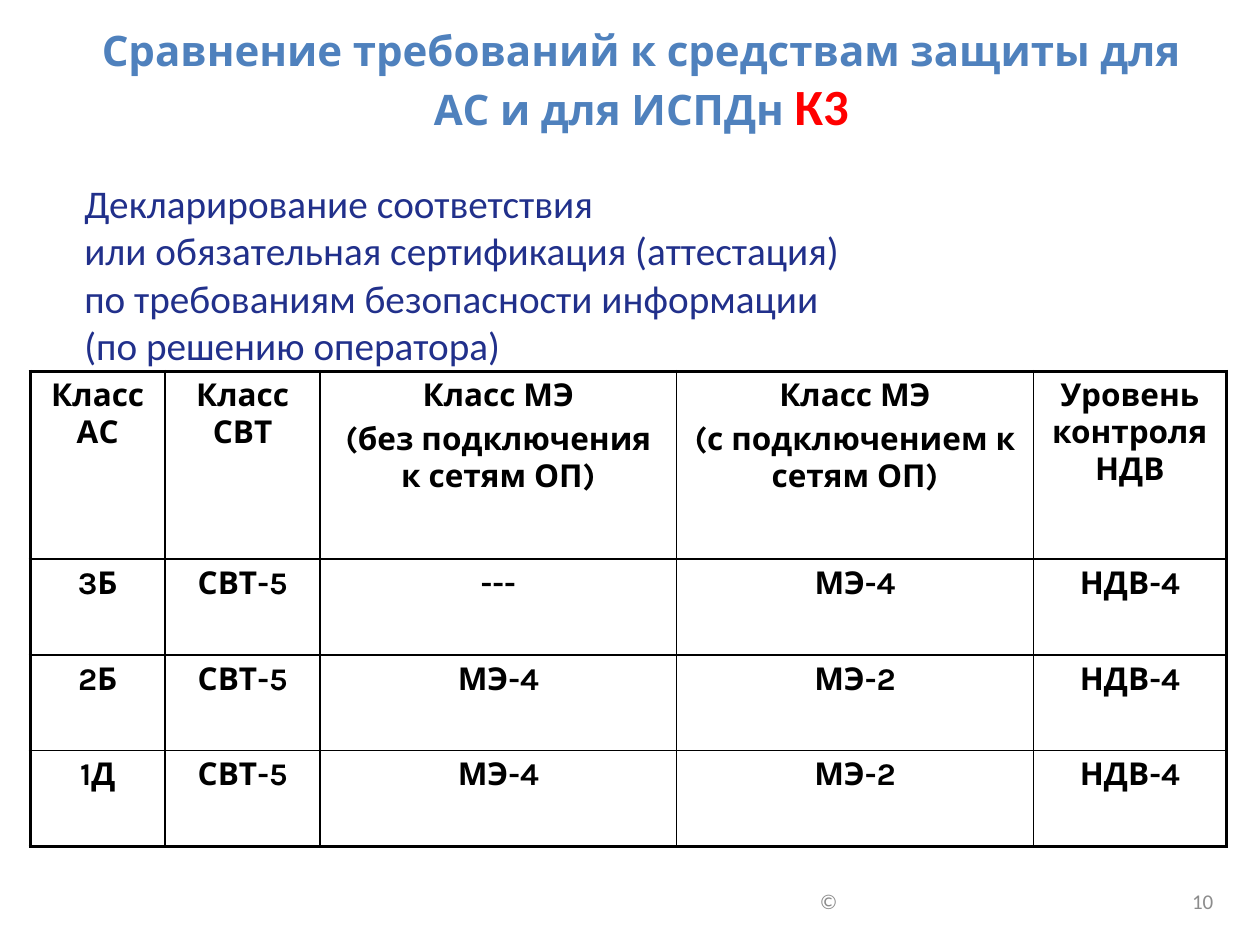
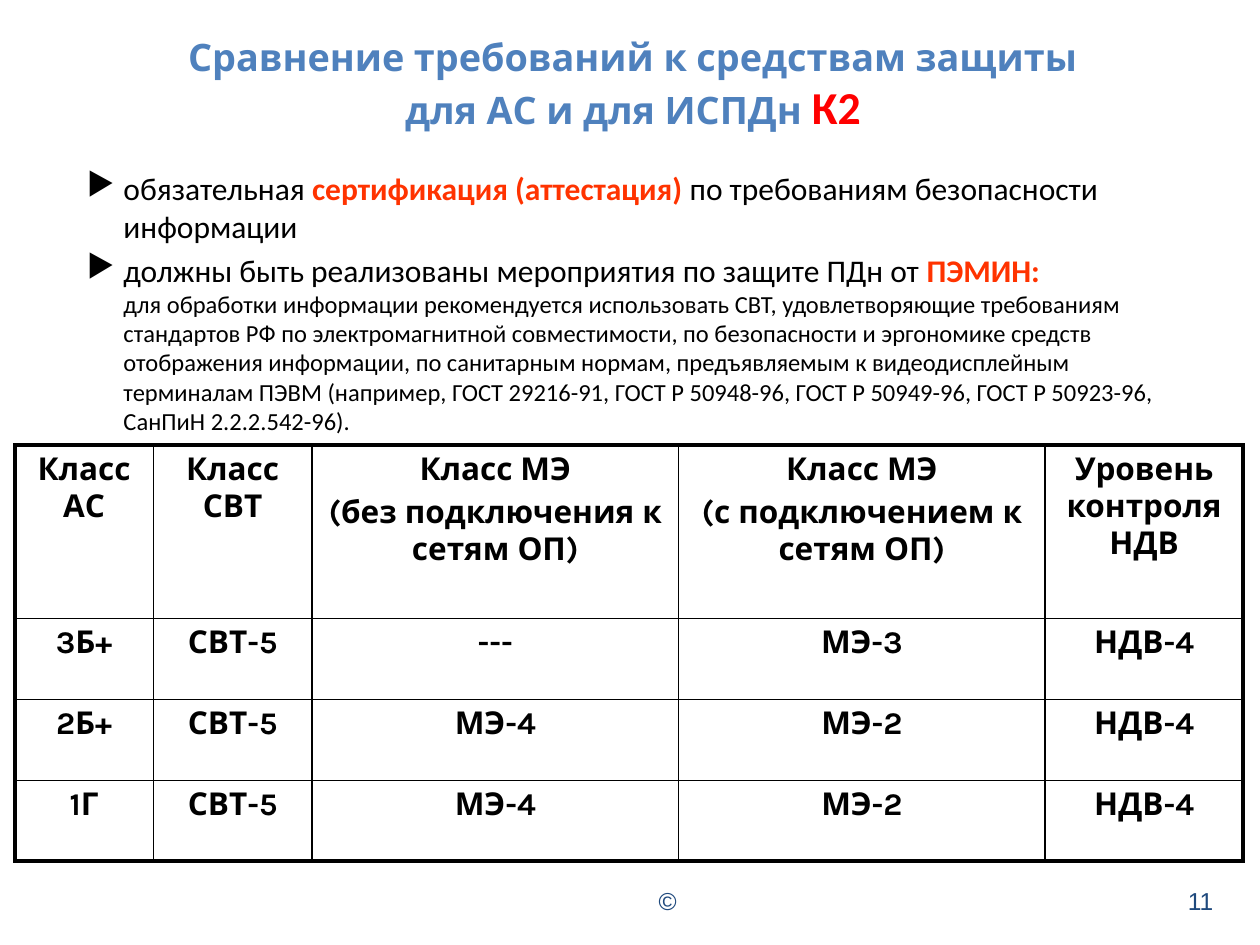
from copy import deepcopy

from lxml import etree
from pptx import Presentation
from pptx.dml.color import RGBColor
from pptx.enum.text import MSO_ANCHOR, MSO_AUTO_SIZE, PP_ALIGN
from pptx.oxml.ns import qn
from pptx.util import Cm, Pt

CENTER, LEFT = PP_ALIGN.CENTER, PP_ALIGN.LEFT
MIDDLE, TOP = MSO_ANCHOR.MIDDLE, MSO_ANCHOR.TOP
NO_FIT = MSO_AUTO_SIZE.NONE

BLUE, RED, NAVY, ORANGE = "4F81BD", "FF0000", "21308B", "FF3300"
BLACK, GREY, DARK_BLUE = "000000", "8C8C8C", "1F497D"
OUTER, INNER = Pt(2.25), Pt(1)
TITLE_ONLY = 5


def paint(color, hex_code):
    color.rgb = RGBColor.from_string(hex_code)


def write(paragraph, runs):
    for text, size, font_name, hex_code, bold in runs:
        look = {"size": Pt(size), "name": font_name, "bold": bold}
        for number, line in enumerate(text.split("\n")):
            if number:
                paragraph.add_line_break()
                paragraph._p[-1].append(deepcopy(run._r.rPr))
            if line:
                run = paragraph.add_run()
                run.text = line
                for name, value in look.items():
                    setattr(run.font, name, value)
                paint(run.font.color, hex_code)


header = [
    ["Класс АС"],
    ["Класс СВТ"],
    ["Класс МЭ", "(без подключения к сетям ОП)"],
    ["Класс МЭ", "(с подключением к сетям ОП)"],
    ["Уровень контроля НДВ"],
]

comparisons = [
    {
        "title_box": (1.22, 0.28, 23.42, 2.67),
        "title": [
            ("Сравнение требований к средствам защиты для АС и для ИСПДн ", 24, "Karla", BLUE, True),
            ("К3", 29, "Calibri", RED, True),
        ],
        "demands_box": (1.45, 3.5, 17.17, 3.76),
        "bulleted": False,
        "demands": [
            [(
                "Декларирование соответствия \n"
                "или обязательная сертификация (аттестация) \n"
                "по требованиям безопасности информации \n"
                "(по решению оператора)",
                22.4, "Calibri", NAVY, False,
            )],
        ],
        "table_corner": (0.61, 7.49),
        "columns": (2.72, 3.12, 7.19, 7.19, 3.89),
        "row_heights": (3.78, 1.93),
        "classes": [
            ("3Б", "СВТ-5", "---", "МЭ-4", "НДВ-4"),
            ("2Б", "СВТ-5", "МЭ-4", "МЭ-2", "НДВ-4"),
            ("1Д", "СВТ-5", "МЭ-4", "МЭ-2", "НДВ-4"),
        ],
        "footer": ("\t©\t10", 12, "Calibri", GREY, False),
        "footer_tabs": [(3.25, "l"), (11.18, "r")],
    },
    {
        "title_box": (0.71, 0.74, 24.1, 1.88),
        "title": [
            ("Сравнение требований к средствам защиты\nдля АС и для ИСПДн ", 21.6, "Karla", BLUE, True),
            ("К2", 26.1, "Calibri", RED, True),
        ],
        "demands_box": (1, 3.28, 22.63, 5.46),
        "bulleted": True,
        "demands": [
            [
                ("обязательная ", 18, "Calibri", BLACK, False),
                ("сертификация (аттестация) ", 18, "Calibri", ORANGE, True),
                ("по требованиям безопасности информации", 18, "Calibri", BLACK, False),
            ],
            [
                ("должны быть реализованы мероприятия по защите ПДн от ", 18, "Calibri", BLACK, False),
                ("ПЭМИН: \n", 18, "Calibri", ORANGE, True),
                (
                    "для обработки информации рекомендуется использовать СВТ, "
                    "удовлетворяющие требованиям стандартов РФ по электромагнитной "
                    "совместимости, по безопасности и эргономике средств отображения "
                    "информации, по санитарным нормам, предъявляемым к видеодисплейным "
                    "терминалам ПЭВМ (например, ГОСТ 29216-91, ГОСТ Р 50948-96, "
                    "ГОСТ Р 50949-96, ГОСТ Р 50923-96, СанПиН 2.2.2.542-96).",
                    14, "Calibri", BLACK, False,
                ),
            ],
        ],
        "table_corner": (0.3, 8.97),
        "columns": (2.79, 3.2, 7.39, 7.39, 3.99),
        "row_heights": (3.5, 1.63),
        "classes": [
            ("3Б+", "СВТ-5", "---", "МЭ-3", "НДВ-4"),
            ("2Б+", "СВТ-5", "МЭ-4", "МЭ-2", "НДВ-4"),
            ("1Г", "СВТ-5", "МЭ-4", "МЭ-2", "НДВ-4"),
        ],
        "footer": ("©\t11", 14, "Arial", DARK_BLUE, False),
        "footer_tabs": [(11.18, "r")],
    },
]

deck = Presentation()
deck.slide_width, deck.slide_height = Cm(25.4), Cm(19.05)

for comparison in comparisons:
    slide = deck.slides.add_slide(deck.slide_layouts[TITLE_ONLY])

    title = slide.shapes.title
    title.left, title.top, title.width, title.height = map(Cm, comparison["title_box"])
    frame_format = {"word_wrap": True, "auto_size": NO_FIT, "vertical_anchor": MIDDLE}
    for name, value in frame_format.items():
        setattr(title.text_frame, name, value)
    heading = title.text_frame.paragraphs[0]
    heading.alignment = CENTER
    write(heading, comparison["title"])

    demands = slide.shapes.add_textbox(*map(Cm, comparison["demands_box"])).text_frame
    demands.word_wrap = True
    for number, runs in enumerate(comparison["demands"]):
        demand = demands.add_paragraph() if number else demands.paragraphs[0]
        if number:
            demand.space_before = Pt(3.6)
        if comparison["bulleted"]:
            properties = demand._p.get_or_add_pPr()
            properties.set("marL", str(Cm(1.24)))
            properties.set("indent", str(Cm(-0.74)))
            etree.SubElement(properties, qn("a:buChar")).set("char", "▶")
        write(demand, runs)

    rows = [header] + [[[text] for text in row] for row in comparison["classes"]]
    header_height, class_height = comparison["row_heights"]
    heights = [header_height] + [class_height] * len(comparison["classes"])
    widths = comparison["columns"]
    left, top = comparison["table_corner"]
    classes = slide.shapes.add_table(
        len(rows), len(widths), Cm(left), Cm(top), Cm(sum(widths)), Cm(sum(heights))
    ).table
    classes.first_row = classes.horz_banding = False
    for column, width in zip(classes.columns, widths):
        column.width = Cm(width)
    for row, height in zip(classes.rows, heights):
        row.height = Cm(height)

    last_row, last_column = len(rows) - 1, len(widths) - 1
    for r, row in enumerate(rows):
        for c, lines in enumerate(row):
            cell = classes.cell(r, c)
            cell.vertical_anchor = TOP
            cell.fill.background()
            for number, line in enumerate(lines):
                entry = cell.text_frame.add_paragraph() if number else cell.text_frame.paragraphs[0]
                entry.alignment = CENTER
                if number:
                    entry.space_before = Pt(3.6)
                write(entry, [(line, 18, "Karla", BLACK, True)])
            edges = {"lnL": c == 0, "lnR": c == last_column, "lnT": r == 0, "lnB": r == last_row}
            cell_properties = cell._tc.get_or_add_tcPr()
            for position, (edge, is_outer) in enumerate(edges.items()):
                border = etree.Element(qn(f"a:{edge}"), w=str(OUTER if is_outer else INNER))
                fill = etree.SubElement(border, qn("a:solidFill"))
                etree.SubElement(fill, qn("a:srgbClr"), val=BLACK)
                cell_properties.insert(position, border)

    footer = slide.shapes.add_textbox(Cm(13.03), Cm(17.65), Cm(11.71), Cm(1.02)).text_frame
    footer.word_wrap = True
    footer.vertical_anchor = MIDDLE
    copyright_line = footer.paragraphs[0]
    copyright_line.alignment = LEFT
    tabs = etree.SubElement(copyright_line._p.get_or_add_pPr(), qn("a:tabLst"))
    for position, align in comparison["footer_tabs"]:
        etree.SubElement(tabs, qn("a:tab"), pos=str(Cm(position)), algn=align)
    write(copyright_line, [comparison["footer"]])

deck.save("out.pptx")
